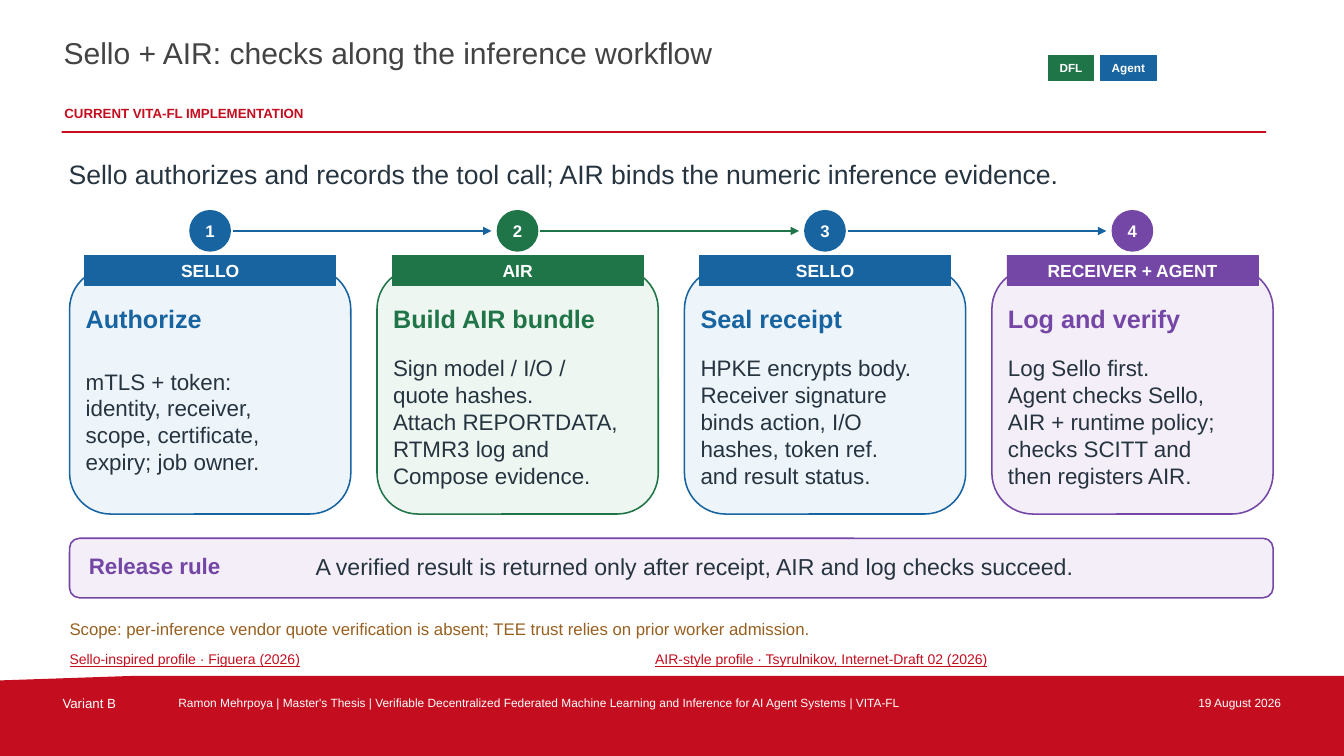
"""Build the slide on Sello and AIR checks along the inference workflow."""
from lxml import etree
from pptx import Presentation
from pptx.dml.color import RGBColor
from pptx.enum.shapes import MSO_CONNECTOR, MSO_SHAPE
from pptx.enum.text import MSO_ANCHOR, PP_ALIGN
from pptx.oxml.ns import qn
from pptx.util import Pt

RECT, ROUND, OVAL = MSO_SHAPE.RECTANGLE, MSO_SHAPE.ROUNDED_RECTANGLE, MSO_SHAPE.OVAL
LINE = MSO_CONNECTOR.STRAIGHT
TOP, MID = MSO_ANCHOR.TOP, MSO_ANCHOR.MIDDLE
LEFT, MIDST, RIGHT = PP_ALIGN.LEFT, PP_ALIGN.CENTER, PP_ALIGN.RIGHT
RED, BLUE, GREEN, PURPLE = "C40D1E", "1764A1", "207548", "7446A6"
INK, WHITE = "263440", "FFFFFF"
TINT = {BLUE: "EDF4FA", GREEN: "EDF6F0", PURPLE: "F3EEF8"}
rgb = RGBColor.from_string

deck = Presentation()
deck.slide_width, deck.slide_height = Pt(960), Pt(540)
slide = deck.slides.add_slide(deck.slide_layouts[6])
shapes = slide.shapes


def write(text, box=None, host=None, size=12, color=INK, bold=False,
          under=False, align=LEFT, anchor=MID, inset=0):
    frame = (host or shapes.add_textbox(*map(Pt, box))).text_frame
    frame.word_wrap = True
    frame.vertical_anchor = anchor
    frame.margin_left = frame.margin_right = Pt(inset)
    frame.margin_top = frame.margin_bottom = Pt(inset)
    frame.text = text
    for para in frame.paragraphs:
        para.alignment = align
        for run in para.runs:
            font = run.font
            font.name, font.size, font.bold = "Arial", Pt(size), bold
            font.color.rgb = rgb(color)
            if under:
                font.underline = True


def draw(kind, box, fill, edge=None, width=1):
    shape = shapes.add_shape(kind, *map(Pt, box))
    shape.shadow.inherit = False
    shape.fill.solid()
    shape.fill.fore_color.rgb = rgb(fill)
    if edge:
        shape.line.color.rgb = rgb(edge)
        shape.line.width = Pt(width)
    else:
        shape.line.fill.background()
    return shape


pen = shapes.build_freeform(Pt(0), Pt(486), scale=1.0)
pen.add_line_segments([(Pt(x), Pt(y)) for x, y in
                       [(97, 482.7), (960, 482.7), (960, 540), (0, 540)]])
band = pen.convert_to_shape()
band.shadow.inherit = False
band.fill.solid()
band.fill.fore_color.rgb = rgb(RED)
band.line.fill.background()

write("Sello + AIR: checks along the inference workflow", (44, 23, 695, 45),
      size=21.5, color="434343", anchor=TOP, inset=1.44)
write("CURRENT VITA-FL IMPLEMENTATION", (44.6, 73.5, 698, 16),
      size=9.5, color=RED, bold=True, anchor=TOP, inset=1.44)
draw(RECT, (44, 93.6, 860.4, 1.4), RED)

for name, left, width, color in [("DFL", 748.8, 32.4, GREEN),
                                 ("Agent", 786.2, 39.6, BLUE)]:
    tag = draw(RECT, (left, 39.6, width, 18), color, color, 0.55)
    write(name, host=tag, size=8.4, color=WHITE, bold=True, align=MIDST)

write("Sello authorizes and records the tool call; AIR binds the numeric inference evidence.",
      (49, 106, 861, 37), size=19)

steps = [
    ("SELLO", "Authorize", BLUE,
     "mTLS + token:\nidentity, receiver,\nscope, certificate,\nexpiry; job owner."),
    ("AIR", "Build AIR bundle", GREEN,
     "Sign model / I/O /\nquote hashes.\nAttach REPORTDATA,\nRTMR3 log and\nCompose evidence."),
    ("SELLO", "Seal receipt", BLUE,
     "HPKE encrypts body.\nReceiver signature\nbinds action, I/O\nhashes, token ref.\nand result status."),
    ("RECEIVER + AGENT", "Log and verify", PURPLE,
     "Log Sello first.\nAgent checks Sello,\nAIR + runtime policy;\nchecks SCITT and\nthen registers AIR."),
]
GAP = 219.6
for i, (owner, head, color, body) in enumerate(steps):
    left = 49.7 + i * GAP
    mid = left + 100.4
    if i < len(steps) - 1:
        arrow = shapes.add_connector(LINE, Pt(mid + 16.2), Pt(165),
                                     Pt(mid + GAP - 18.6), Pt(165))
        arrow.line.color.rgb = rgb(color)
        arrow.line.width = Pt(2)
        etree.SubElement(arrow.line._get_or_add_ln(), qn("a:tailEnd"), type="triangle")
        etree.SubElement(arrow._element.spPr, qn("a:effectLst"))
    dot = draw(OVAL, (mid - 14.4, 150.5, 28.8, 28.8), color, color)
    write(str(i + 1), host=dot, color=WHITE, bold=True, align=MIDST)
    draw(ROUND, (left, 191.5, 200.9, 175.7), TINT[color], color, 1.1)
    label = draw(RECT, (left + 10.8, 182.2, 179.3, 21.6), color, color, 0.5)
    write(owner, host=label, size=12.5, color=WHITE, bold=True, align=MIDST)
    write(head, (left + 11.5, 214.6, 178, 26), size=18, color=color, bold=True)
    write(body, (left + 11.5, 247, 178, 108), size=16)

draw(ROUND, (49.7, 384.5, 859.7, 42.5), TINT[PURPLE], PURPLE, 1.1)
write("Release rule", (63.4, 392.4, 157.7, 23.8), size=16, color=PURPLE, bold=True)
write("A verified result is returned only after receipt, AIR and log checks succeed.",
      (225.4, 388.8, 665, 31.7), size=16.5)
write("Scope: per-inference vendor quote verification is absent; TEE trust relies on prior worker admission.",
      (49.7, 438.5, 861, 21), color="986021")
for cite, left in [("Sello-inspired profile · Figuera (2026)", 49.7),
                   ("AIR-style profile · Tsyrulnikov, Internet-Draft 02 (2026)", 468)]:
    write(cite, (left, 463, 410, 16), size=10, color="C30D1E", under=True)

for text, left, width, size, align in [
    ("Variant B", 43.2, 79, 9.5, LEFT),
    ("Ramon Mehrpoya | Master's Thesis | Verifiable Decentralized Federated Machine Learning "
     "and Inference for AI Agent Systems | VITA-FL", 126, 673, 8.5, LEFT),
    ("19 August 2026", 806.4, 110.2, 8.5, RIGHT),
]:
    write(text, (left, 495.4, width, 16), size=size, color=WHITE,
          align=align, anchor=TOP, inset=1.44)

deck.save("out.pptx")
